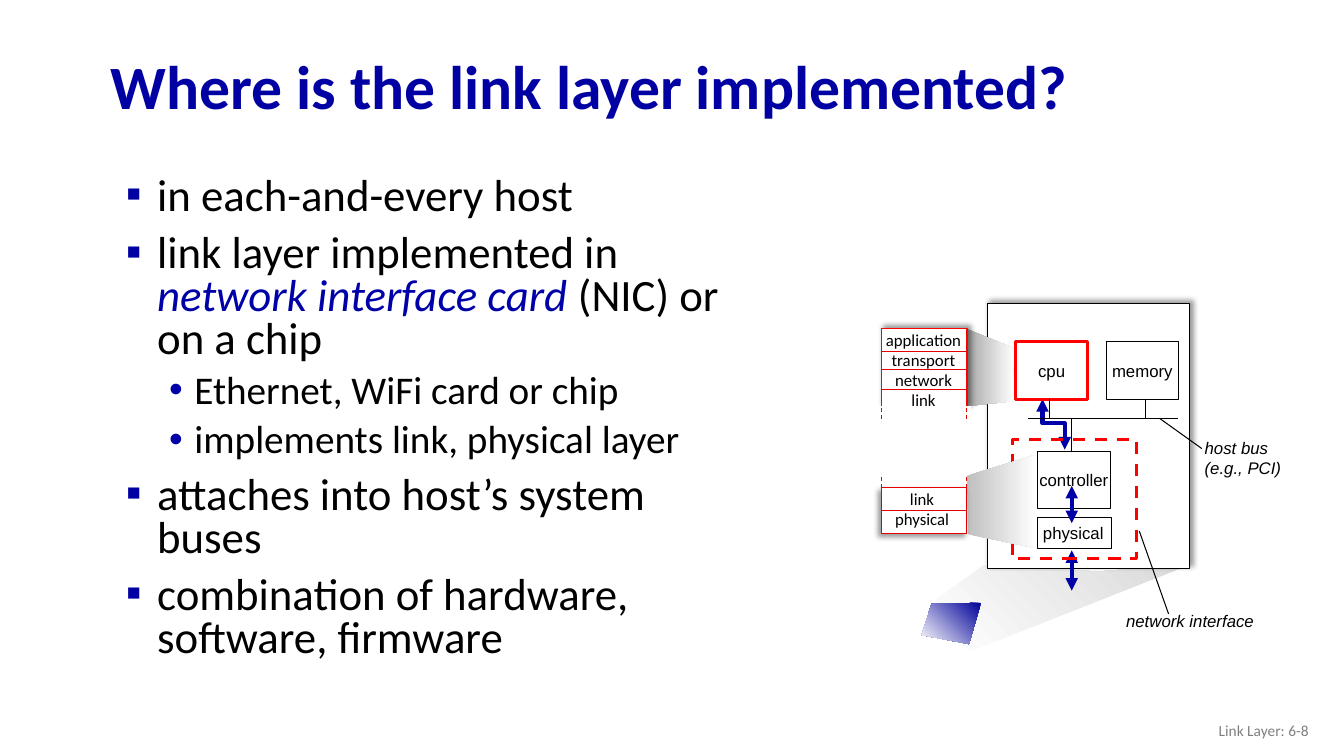
from dataclasses import dataclass

from lxml import etree
from pptx import Presentation
from pptx.dml.color import RGBColor
from pptx.enum import dml, shapes, text
from pptx.oxml import ns
from pptx.util import Inches, Pt


@dataclass(frozen=True)
class Theme:
    title_blue: str = "0000A3"
    blue: str = "0000A8"
    deep_blue: str = "000099"
    black: str = "000000"
    white: str = "FFFFFF"
    red: str = "FF0000"
    dark_red: str = "E40000"
    footer_gray: str = "808080"
    dark_gray: str = "A6A6A6"
    mid_gray: str = "BFBFBF"
    light_gray: str = "D9D9D9"
    title_size: int = 44
    body_size: int = 32
    sub_size: int = 28
    label_size: int = 12
    footer_size: int = 11
    body_font: str = "Calibri"
    label_font: str = "Arial"
    thin: float = 0.75
    thick: float = 3


THEME = Theme()
LEFT, CENTER, RIGHT = text.PP_ALIGN.LEFT, text.PP_ALIGN.CENTER, text.PP_ALIGN.RIGHT
MIDDLE = text.MSO_ANCHOR.MIDDLE


def rgb(color):
    return RGBColor.from_string(color)


def add_xml(parent, tag, **attributes):
    return etree.SubElement(parent, ns.qn(tag), attributes)


def style_font(font, size, color=THEME.black, name=THEME.body_font, bold=False, italic=False):
    font.size, font.name, font.bold, font.italic = Pt(size), name, bold, italic
    font.color.rgb = rgb(color)


def style_line(line, color, width, dashed=False, arrows=False):
    line.color.rgb = rgb(color)
    line.width = Pt(width)
    if dashed:
        line.dash_style = dml.MSO_LINE.DASH
    if arrows:
        properties = line._get_or_add_ln()
        for end in ("a:headEnd", "a:tailEnd"):
            add_xml(properties, end, type="triangle")


def write(shape, content, align=LEFT, wrap=False, anchor=None, **font):
    frame = shape.text_frame
    frame.text = content
    frame.word_wrap = wrap
    if anchor is not None:
        frame.vertical_anchor = anchor
    for para in frame.paragraphs:
        para.alignment = align
        for span in para.runs:
            style_font(span.font, **font)


def add_label(page, bounds, content, **options):
    box = page.shapes.add_textbox(*map(Inches, bounds))
    options.setdefault("size", THEME.label_size)
    write(box, content, **options)
    return box


def add_box(page, bounds, label=None, line=THEME.black, width=THEME.thin,
            fill=THEME.white, dashed=False, shadow_angle=None):
    box = page.shapes.add_shape(shapes.MSO_SHAPE.RECTANGLE, *map(Inches, bounds))
    box.shadow.inherit = False
    if fill:
        box.fill.solid()
        box.fill.fore_color.rgb = rgb(fill)
    else:
        box.fill.background()
    if line:
        style_line(box.line, line, width, dashed)
    else:
        box.line.fill.background()
    if shadow_angle is not None:
        effects = box._element.spPr.find(ns.qn("a:effectLst"))
        shadow = add_xml(effects, "a:outerShdw", blurRad=str(Pt(4)), dist=str(Pt(3)),
                         dir=str(shadow_angle * 60000), algn="ctr", rotWithShape="0")
        add_xml(add_xml(shadow, "a:srgbClr", val=THEME.black), "a:alpha", val="40000")
    if label:
        write(box, label, align=CENTER, anchor=MIDDLE,
              size=THEME.label_size, name=THEME.label_font)


def add_line(page, start, end, color=THEME.black, width=THEME.thin, **style):
    line = page.shapes.add_connector(shapes.MSO_CONNECTOR.STRAIGHT, *map(Inches, start + end))
    add_xml(line._element.spPr, "a:effectLst")
    style_line(line.line, color, width, **style)


def add_outline(page, points, close):
    points = [(Inches(x), Inches(y)) for x, y in points]
    builder = page.shapes.build_freeform(*points[0])
    builder.add_line_segments(points[1:], close=close)
    outline = builder.convert_to_shape()
    outline.shadow.inherit = False
    return outline


def add_gradient(page, points, colors, angle=0):
    """Draw a filled polygon; the angle runs counter-clockwise."""
    outline = add_outline(page, points, close=True)
    outline.line.fill.background()
    outline.fill.gradient()
    outline.fill.gradient_angle = angle
    for stop, color in zip(outline.fill.gradient_stops, colors):
        stop.color.rgb = rgb(color)


def add_bullets(page, bounds, items):
    """Each item is a level and its runs; runs at odd positions are emphasized."""
    box = page.shapes.add_textbox(*map(Inches, bounds))
    frame = box.text_frame
    frame.word_wrap = True
    for index, (level, parts) in enumerate(items):
        para = frame.add_paragraph() if index else frame.paragraphs[0]
        para.level = level
        margin, indent, mark, color, spacing, before, size = (
            (0.76, -0.25, "•", THEME.blue, 0.9, 5, THEME.sub_size) if level else
            (0.39, -0.31, "▪", THEME.title_blue, 0.8, 10, THEME.body_size))
        para.line_spacing = spacing
        para.space_before = Pt(before if index else 0)
        properties = para._p.get_or_add_pPr()
        properties.set("marL", str(Inches(margin)))
        properties.set("indent", str(Inches(indent)))
        add_xml(add_xml(properties, "a:buClr"), "a:srgbClr", val=color)
        add_xml(properties, "a:buFont", typeface=THEME.label_font)
        add_xml(properties, "a:buChar", char=mark)
        for position, part in enumerate(parts):
            span = para.add_run()
            span.text = part
            stressed = position % 2 == 1
            style_font(span.font, size, THEME.blue if stressed else THEME.black, italic=stressed)


def draw_host(page):
    add_gradient(page, [(9.28, 6.01), (9.29, 5.95), (9.31, 5.93), (9.76, 5.61),
                        (10.89, 5.67), (11.8, 5.6), (9.6, 6.47)],
                 (THEME.white, THEME.light_gray), 45)
    add_box(page, (9.79, 3.01, 2.01, 2.63), shadow_angle=315)
    add_box(page, (10.29, 5.13, 0.73, 0.31))
    add_box(page, (10.29, 4.48, 0.72, 0.57), "controller")
    add_label(page, (10.24, 5.14, 0.81, 0.3), "physical", align=CENTER, name=THEME.label_font)
    bus_arrow = add_outline(page, [(10.34, 3.96), (10.34, 4.2), (10.56, 4.2), (10.56, 4.46)],
                            close=False)
    bus_arrow.fill.background()
    style_line(bus_arrow.line, THEME.blue, THEME.thick, arrows=True)
    add_box(page, (10.07, 3.39, 0.72, 0.57), "cpu", line=THEME.red, width=2.25)
    add_box(page, (10.97, 3.39, 0.72, 0.57), "memory")
    bus = 4.15
    add_line(page, (10.2, bus), (11.68, bus))
    for x, y in ((10.63, 4.48), (10.41, 3.96), (11.36, 3.96)):
        add_line(page, (x, bus), (x, y))
    for top, bottom in ((4.82, 5.19), (5.46, 5.86)):
        add_line(page, (10.63, top), (10.63, bottom), THEME.blue, THEME.thick, arrows=True)
    add_label(page, (11.85, 4.29, 1.14, 0.5), "host bus\n(e.g., PCI)", wrap=True,
              name=THEME.label_font, italic=True)
    add_label(page, (11.07, 6.01, 1.48, 0.3), "network interface",
              name=THEME.label_font, italic=True)
    add_line(page, (11.92, 4.45), (11.5, bus))
    add_line(page, (11.59, 6.09), (11.3, 5.27))
    add_box(page, (10.04, 4.36, 1.23, 1.18), line=THEME.red, width=2.25, fill=None, dashed=True)


def draw_stacks(page):
    left, right = 8.74, 9.59
    width = right - left
    add_gradient(page, [(10.28, 4.51), (right, 4.72), (9.6, 5.3), (10.28, 5.44)],
                 (THEME.mid_gray, THEME.white))
    add_box(page, (left, 4.84, width, 0.45), line=THEME.dark_red, shadow_angle=135)
    add_gradient(page, [(10.04, 3.45), (9.58, 3.26), (right, 4.03), (10.06, 3.98)],
                 (THEME.dark_gray, THEME.white))
    add_box(page, (left, 3.26, width, 0.8), line=THEME.red, width=1, shadow_angle=315)
    add_box(page, (8.67, 4.03, 0.96, 0.2), line=None)
    add_label(page, (8.68, 3.22, 0.96, 0.91), "application\ntransport\nnetwork\nlink", align=CENTER)
    add_label(page, (8.77, 4.8, 0.75, 0.51), "link\nphysical", align=CENTER)
    for y in (3.49, 3.67, 3.86, 5.06):
        add_line(page, (left, y), (right, y), THEME.dark_red)
    for x in (left, right):
        for top in (4.05, 4.73):
            add_line(page, (x, top), (x, top + 0.11), THEME.dark_red, dashed=True)


def main():
    deck = Presentation()
    deck.slide_width, deck.slide_height = Inches(13.33), Inches(7.5)
    page = deck.slides.add_slide(deck.slide_layouts[6])
    title = add_label(page, (1, 0.4, 11.5, 0.98), "Where is the link layer implemented?", wrap=True,
                      anchor=MIDDLE, size=THEME.title_size, color=THEME.title_blue, bold=True)
    title.text_frame.paragraphs[0].line_spacing = 0.9
    add_bullets(page, (1.07, 1.71, 6.35, 5.1), [
        (0, ["in each-and-every host"]),
        (0, ["link layer implemented in ", "network interface card", " (NIC) or on a chip"]),
        (1, ["Ethernet, WiFi card or chip"]),
        (1, ["implements link, physical layer"]),
        (0, ["attaches into host’s system buses"]),
        (0, ["combination of hardware, software, firmware"]),
    ])
    draw_host(page)
    draw_stacks(page)
    add_gradient(page, [(9.73, 5.98), (9.24, 5.99), (9.14, 6.3), (9.61, 6.39)],
                 (THEME.deep_blue, THEME.white), 225)
    add_label(page, (10.08, 7.05, 3, 0.4), "Link Layer: 6-8", align=RIGHT, wrap=True,
              anchor=MIDDLE, size=THEME.footer_size, color=THEME.footer_gray)
    deck.save("out.pptx")


if __name__ == "__main__":
    main()
